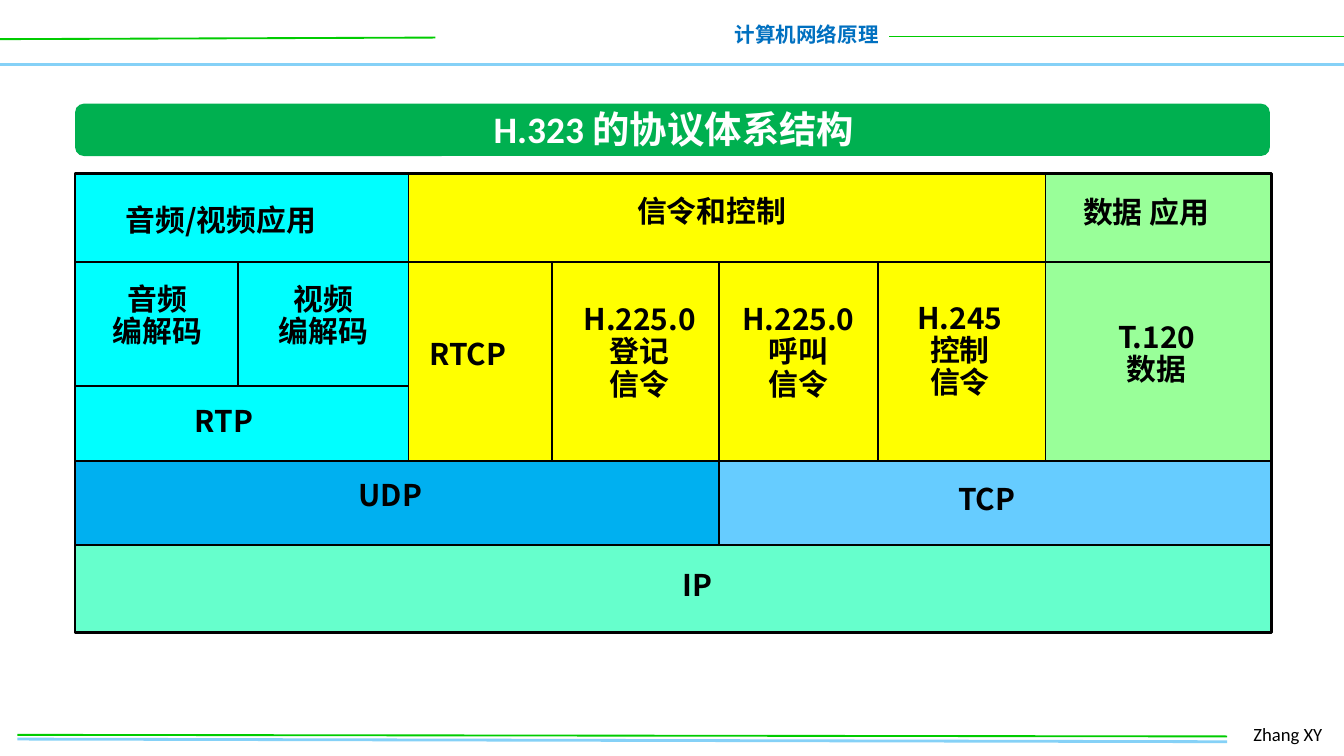
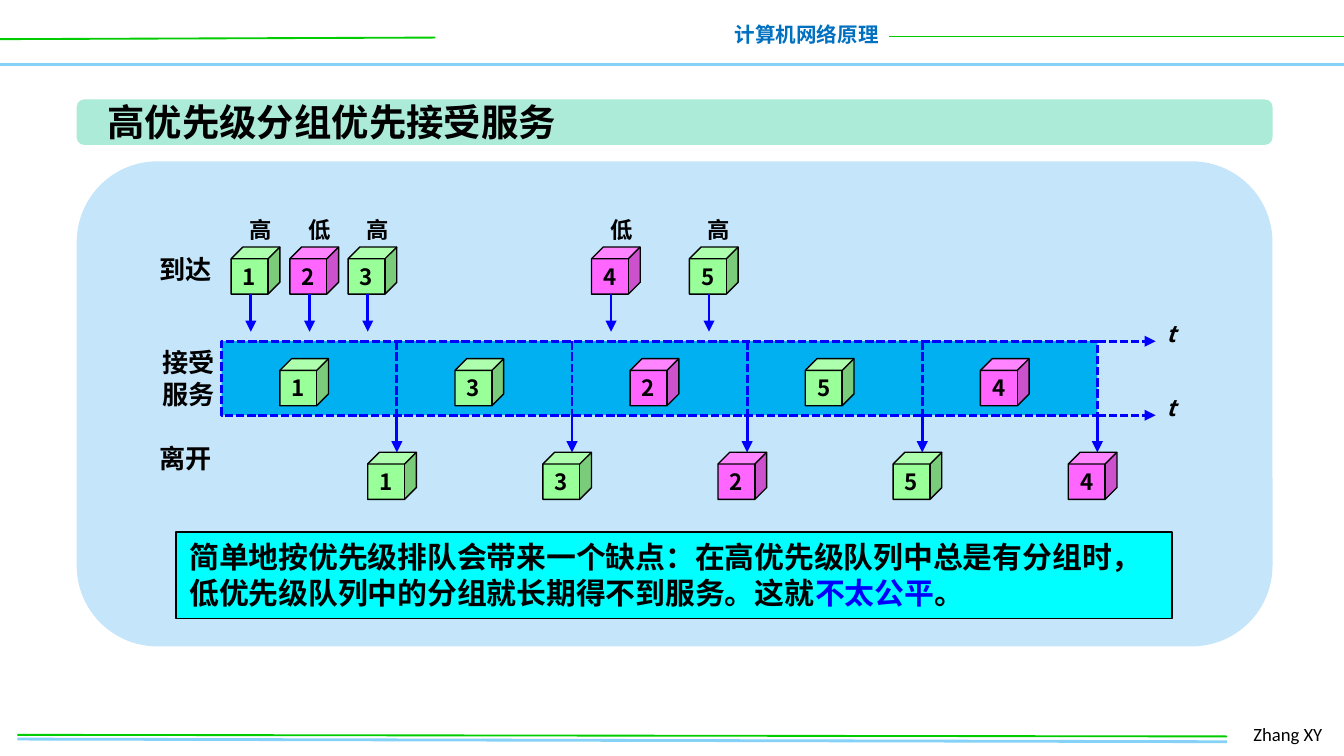
"""Build two networking slides: the H.323 protocol stack and priority queueing."""
import pptx
import pptx.dml.color
import pptx.enum.dml
import pptx.enum.shapes
import pptx.enum.text
import pptx.oxml
import pptx.oxml.ns
import pptx.util

Cm = pptx.util.Cm
SHAPE = pptx.enum.shapes.MSO_SHAPE
ALIGN = pptx.enum.text.PP_ALIGN
ANCHOR = pptx.enum.text.MSO_ANCHOR
CJK = "Noto Sans CJK SC"
COLORS = {
    "black": "000000", "white": "FFFFFF", "blue": "0000FF", "header": "0070C0",
    "sky": "85D1F7", "green": "00CC00", "title": "00B050", "mint": "ABEBD7",
    "panel": "C5E5FB", "cyan": "00FFFF", "yellow": "FFFF00", "high": "99FF99",
    "low": "FF66FF", "azure": "00B0F0", "tcp": "66CCFF", "ip": "66FFCC",
}


def rgb(color):
    return pptx.dml.color.RGBColor.from_string(COLORS[color])


def write(frame, text, size=16, color="black", bold=True, italic=False, font=CJK,
          align=ALIGN.LEFT, spacing=None, emphasis=None):
    for index, line in enumerate(text.split("\n")):
        paragraph = frame.add_paragraph() if index else frame.paragraphs[0]
        paragraph.alignment = align
        if spacing:
            paragraph.line_spacing = spacing
        for part in line.partition(emphasis) if emphasis else [line]:
            run = paragraph.add_run()
            run.text = part
            run.font.size = pptx.util.Pt(size)
            run.font.bold = bold
            run.font.italic = italic
            run.font.name = font
            run.font.color.rgb = rgb("blue" if part == emphasis else color)
            east_asian = pptx.oxml.parse_xml(
                f'<a:ea {pptx.oxml.ns.nsdecls("a")} typeface="{CJK}"/>')
            run.font._element.append(east_asian)


class Deck:
    def __init__(self):
        self.presentation = pptx.Presentation()
        self.presentation.slide_width = Cm(25.4)
        self.presentation.slide_height = Cm(14.29)
        self.slide = None

    def new_slide(self):
        layout = self.presentation.slide_layouts[6]
        self.slide = self.presentation.slides.add_slide(layout)
        self.line(0, 1.22, 25.4, 1.22, "sky", 2)
        self.line(0, 0.74, 8.23, 0.71, "green")
        self.text("计算机网络原理", 13.61, 0.3, 3.25, 0.74, size=11,
                  color="header", align=ALIGN.RIGHT)
        self.line(16.81, 0.69, 25.4, 0.69, "green")
        self.line(0.33, 13.97, 23.19, 14.02, "sky", 1.5)
        self.text("Zhang XY", 23.44, 13.54, 1.88, 0.69, wrap=True, size=10,
                  bold=False, font="Calibri")
        self.line(0.33, 13.89, 23.19, 13.92, "green")

    def stroke(self, line, color, width, dashed):
        line.color.rgb = rgb(color)
        line.width = pptx.util.Pt(width)
        if dashed:
            line.dash_style = pptx.enum.dml.MSO_LINE.SQUARE_DOT

    def line(self, x1, y1, x2, y2, color="black", width=1, dashed=False, arrow=False):
        connector = self.slide.shapes.add_connector(
            pptx.enum.shapes.MSO_CONNECTOR.STRAIGHT, Cm(x1), Cm(y1), Cm(x2), Cm(y2))
        self.stroke(connector.line, color, width, dashed)
        namespace = pptx.oxml.ns.nsdecls("a")
        if arrow:
            connector.line._get_or_add_ln().append(
                pptx.oxml.parse_xml(f'<a:tailEnd {namespace} type="triangle"/>'))
        connector._element.spPr.append(pptx.oxml.parse_xml(f"<a:effectLst {namespace}/>"))

    def shape(self, x, y, width, height, fill=None, outline=None, weight=0.75,
              dashed=False, kind=SHAPE.RECTANGLE, rounding=None):
        shape = self.slide.shapes.add_shape(kind, Cm(x), Cm(y), Cm(width), Cm(height))
        shape.shadow.inherit = False
        if rounding:
            shape.adjustments[0] = rounding
        if fill:
            shape.fill.solid()
            shape.fill.fore_color.rgb = rgb(fill)
        else:
            shape.fill.background()
        if outline:
            self.stroke(shape.line, outline, weight, dashed)
        else:
            shape.line.fill.background()
        return shape

    def text(self, text, x, y, width, height, wrap=False, **style):
        frame = self.slide.shapes.add_textbox(
            Cm(x), Cm(y), Cm(width), Cm(height)).text_frame
        frame.word_wrap = wrap
        frame.auto_size = pptx.enum.text.MSO_AUTO_SIZE.SHAPE_TO_FIT_TEXT
        write(frame, text, **style)

    def title(self, text, bar, label, fill, **style):
        self.shape(*bar, fill, kind=SHAPE.ROUNDED_RECTANGLE, rounding=0.167)
        self.text(text, *label, size=20, **style)

    def packet(self, number, x, y):
        cube = self.shape(x, y, 0.92, 0.89, PRIORITIES[number][1], "black",
                          kind=SHAPE.CUBE)
        cube.text_frame.word_wrap = False
        cube.text_frame.vertical_anchor = ANCHOR.MIDDLE
        write(cube.text_frame, str(number), size=12, align=ALIGN.CENTER)


HIGH, LOW = ("高", "high"), ("低", "low")
PRIORITIES = {1: HIGH, 2: LOW, 3: HIGH, 4: LOW, 5: HIGH}


def protocol_stack(deck):
    deck.new_slide()
    deck.title("H.323 的协议体系结构", (1.42, 1.96, 22.58, 0.99),
               (8.97, 1.88, 7.54, 1.12), "title", color="white", font="Calibri",
               align=ALIGN.CENTER)
    left, video, rtcp, registration, call, control, data, right = (
        1.42, 4.5, 7.72, 10.44, 13.59, 16.59, 19.76, 24.03)
    top, codecs, rtp, transport, network, bottom = 3.28, 4.95, 7.29, 8.71, 10.3, 11.96
    for x1, y1, x2, y2, fill, outline in (
            (left, network, right, bottom, "ip", None),
            (call, transport, right, network, "tcp", None),
            (left, transport, call, network, "azure", "black"),
            (left, top, rtcp, transport, "cyan", None),
            (data, top, right, transport, "high", None),
            (rtcp, top, data, transport, "yellow", None)):
        deck.shape(x1, y1, x2 - x1, y2 - y1, fill, outline)
    deck.shape(left, top, right - left, bottom - top, outline="black", weight=1.5)
    for y, end in ((codecs, right), (rtp, rtcp), (transport, right), (network, right)):
        deck.line(left, y, end, y)
    for x, start, end in ((video, codecs, rtp), (rtcp, top, transport),
                          (registration, codecs, transport), (call, codecs, network),
                          (control, codecs, transport), (data, top, transport)):
        deck.line(x, start, x, end)
    for name, x, y, width in (
            ("音频/视频应用", 2.13, 3.68, 6.02), ("信令和控制", 11.79, 3.51, 3.58),
            ("数据 应用", 20.22, 3.53, 3.15), ("RTCP", 7.87, 6.22, 2.11),
            ("RTP", 3.43, 7.49, 1.73), ("UDP", 6.53, 8.89, 1.91),
            ("TCP", 17.86, 8.97, 1.7), ("IP", 12.65, 10.59, 1.14)):
        deck.text(name, x, y, width, 0.99, wrap=width > 6)
    for name, x, y, width, height in (
            ("音频\n编解码", 1.8, 5.26, 2.36, 1.57),
            ("视频\n编解码", 4.93, 5.26, 2.36, 1.57),
            ("H.225.0\n登记\n信令", 10.64, 5.64, 2.9, 2.24),
            ("H.225.0\n呼叫\n信令", 13.64, 5.64, 2.9, 2.24),
            ("H.245\n控制\n信令", 16.97, 5.61, 2.34, 2.24),
            ("T.120\n数据", 20.78, 5.97, 2.16, 1.57)):
        deck.text(name, x, y, width, height, align=ALIGN.CENTER, spacing=0.9)


def priority_queue(deck):
    deck.new_slide()
    deck.title("高优先级分组优先接受服务", (1.45, 1.88, 22.6, 0.86),
               (1.78, 1.75, 9.07, 1.12), "mint")
    deck.shape(1.45, 3.05, 22.6, 9.17, "panel", kind=SHAPE.ROUNDED_RECTANGLE)
    note = deck.shape(3.33, 10.06, 18.82, 1.63, "cyan", "black").text_frame
    note.word_wrap = True
    note.vertical_anchor = ANCHOR.TOP
    write(note, "简单地按优先级排队会带来一个缺点：在高优先级队列中总是有分组时，"
                "低优先级队列中的分组就长期得不到服务。这就不太公平。",
          emphasis="不太公平")

    for stage, x, y, height in (("到达", 2.77, 4.67, 0.86), ("离开", 2.77, 8.23, 0.86),
                                ("接受\n服务", 2.82, 6.43, 1.45)):
        deck.text(stage, x, y, 1.5, height, size=14)

    dashes = dict(color="blue", width=1.5, dashed=True)
    arrow = dict(color="blue", width=1.5, arrow=True)
    for number, x in ((1, 4.37), (2, 5.48), (3, 6.58), (4, 11.18), (5, 13.03)):
        deck.packet(number, x, 4.67)
        deck.text(PRIORITIES[number][0], x + 0.1, 3.96, 0.94, 0.76, size=12)
        deck.line(x + 0.37, 5.56, x + 0.37, 6.27, **arrow)

    start, slot, top, bottom = 4.19, 3.31, 6.45, 7.85
    served = (1, 3, 2, 5, 4)
    end = start + slot * len(served)
    deck.shape(start, top, end - start, bottom - top, "azure", "blue", 1.5, dashed=True)
    for index, number in enumerate(served):
        begin = start + slot * index
        finish = begin + slot
        if index:
            deck.line(begin, top, begin, bottom, **dashes)
        deck.packet(number, begin + 1.1, 6.78)
        deck.line(finish, bottom, finish, 8.55, **arrow)
        deck.packet(number, finish - 0.55, 8.55)
    for y in (top, bottom):
        deck.line(end, y, 21.84, y, arrow=True, **dashes)
        deck.text("t", 21.79, y - 0.53, 0.69, 0.76, size=12, italic=True)


def main():
    deck = Deck()
    protocol_stack(deck)
    priority_queue(deck)
    deck.presentation.save("out.pptx")


if __name__ == "__main__":
    main()
